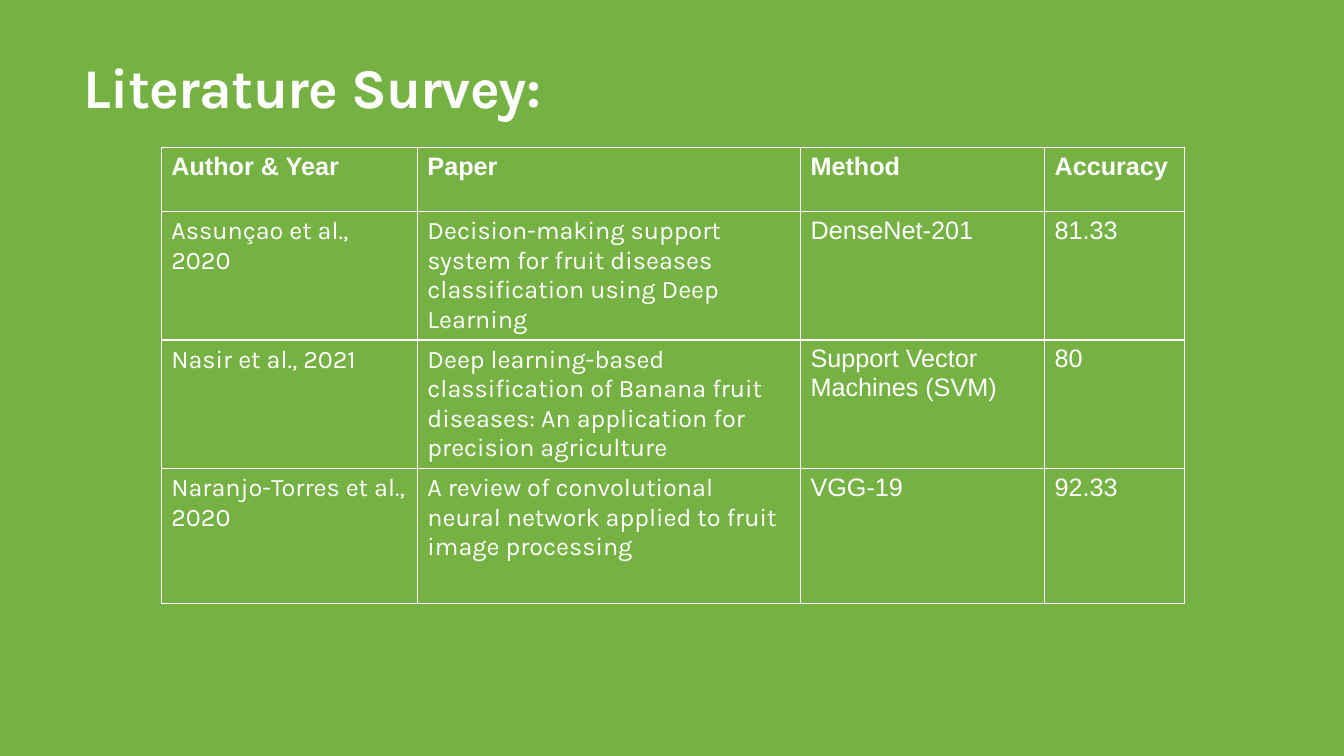
from dataclasses import dataclass

from lxml import etree
from pptx import Presentation
from pptx import util as u
from pptx.dml.color import RGBColor
from pptx.enum import text
from pptx.oxml import ns


@dataclass(frozen=True)
class Theme:
    background: str = "76B144"
    ink: str = "FFFFFF"
    display: str = "Karla"
    plain: str = "Arial"
    title_size: int = 40
    table_size: int = 18
    rule_width: int = 1


THEME = Theme()
SLIDE_SIZE = (13.33, 7.5)
TITLE_BOX = (0.83, 0.52, 11.67, 0.67)
SURVEY_BOX = (1.6, 1.46, 10.15, 4.46)
COLUMN_WIDTHS = (2.54, 3.8, 2.42, 1.39)
ROW_HEIGHTS = (0.64, 1.24, 1.24, 1.34)
COLUMN_FONTS = (THEME.display, THEME.display, THEME.plain, THEME.plain)

SURVEY = (
    ("Author & Year", "Paper", "Method", "Accuracy"),
    ("Assunçao et al., 2020",
     "Decision-making support system for fruit diseases classification using Deep Learning",
     "DenseNet-201", "81.33"),
    ("Nasir et al., 2021",
     "Deep learning-based classification of Banana fruit diseases: "
     "An application for precision agriculture",
     "Support Vector Machines (SVM)", "80"),
    ("Naranjo-Torres et al., 2020",
     "A review of convolutional neural network applied to fruit image processing",
     "VGG-19", "92.33"),
)


def write(frame, wording, font, size, bold):
    paragraph = frame.paragraphs[0]
    paragraph.alignment = text.PP_ALIGN.LEFT
    run = paragraph.add_run()
    run.text = wording
    for name, value in {"name": font, "size": u.Pt(size), "bold": bold}.items():
        setattr(run.font, name, value)
    run.font.color.rgb = RGBColor.from_string(THEME.ink)
    return run


def rule_cell(cell):
    properties = cell._tc.get_or_add_tcPr()
    for side in ("lnL", "lnR", "lnT", "lnB"):
        line = etree.SubElement(properties, ns.qn(f"a:{side}"), w=str(u.Pt(THEME.rule_width)))
        fill = etree.SubElement(line, ns.qn("a:solidFill"))
        etree.SubElement(fill, ns.qn("a:srgbClr"), val=THEME.ink)
    cell.fill.background()


def add_title(slide, box, wording):
    title = slide.shapes.title
    for name, value in zip(("left", "top", "width", "height"), box):
        setattr(title, name, u.Inches(value))
    frame = title.text_frame
    layout = {"margin_left": 0, "margin_right": 0, "margin_top": 0, "margin_bottom": 0,
              "word_wrap": True, "auto_size": text.MSO_AUTO_SIZE.NONE,
              "vertical_anchor": text.MSO_ANCHOR.BOTTOM}
    for name, value in layout.items():
        setattr(frame, name, value)
    heading = write(frame, wording, THEME.display, THEME.title_size, True)
    heading._r.get_or_add_rPr().set("spc", "-50")


def add_survey(slide, box, entries):
    survey = slide.shapes.add_table(
        len(entries), len(COLUMN_WIDTHS), *map(u.Inches, box)).table
    survey.first_row = survey.horz_banding = False
    left, top, width, height = box
    for column, share in zip(survey.columns, COLUMN_WIDTHS):
        column.width = u.Inches(width * share / sum(COLUMN_WIDTHS))
    for row, share in zip(survey.rows, ROW_HEIGHTS):
        row.height = u.Inches(height * share / sum(ROW_HEIGHTS))
    for r, entry in enumerate(entries):
        for c, wording in enumerate(entry):
            cell = survey.cell(r, c)
            rule_cell(cell)
            font = THEME.plain if r == 0 else COLUMN_FONTS[c]
            write(cell.text_frame, wording, font, THEME.table_size, r == 0)


def main():
    deck = Presentation()
    deck.slide_width, deck.slide_height = map(u.Inches, SLIDE_SIZE)
    slide = deck.slides.add_slide(deck.slide_layouts[5])
    slide.background.fill.solid()
    slide.background.fill.fore_color.rgb = RGBColor.from_string(THEME.background)
    add_title(slide, TITLE_BOX, "Literature Survey:")
    add_survey(slide, SURVEY_BOX, SURVEY)
    deck.save("out.pptx")


if __name__ == "__main__":
    main()
